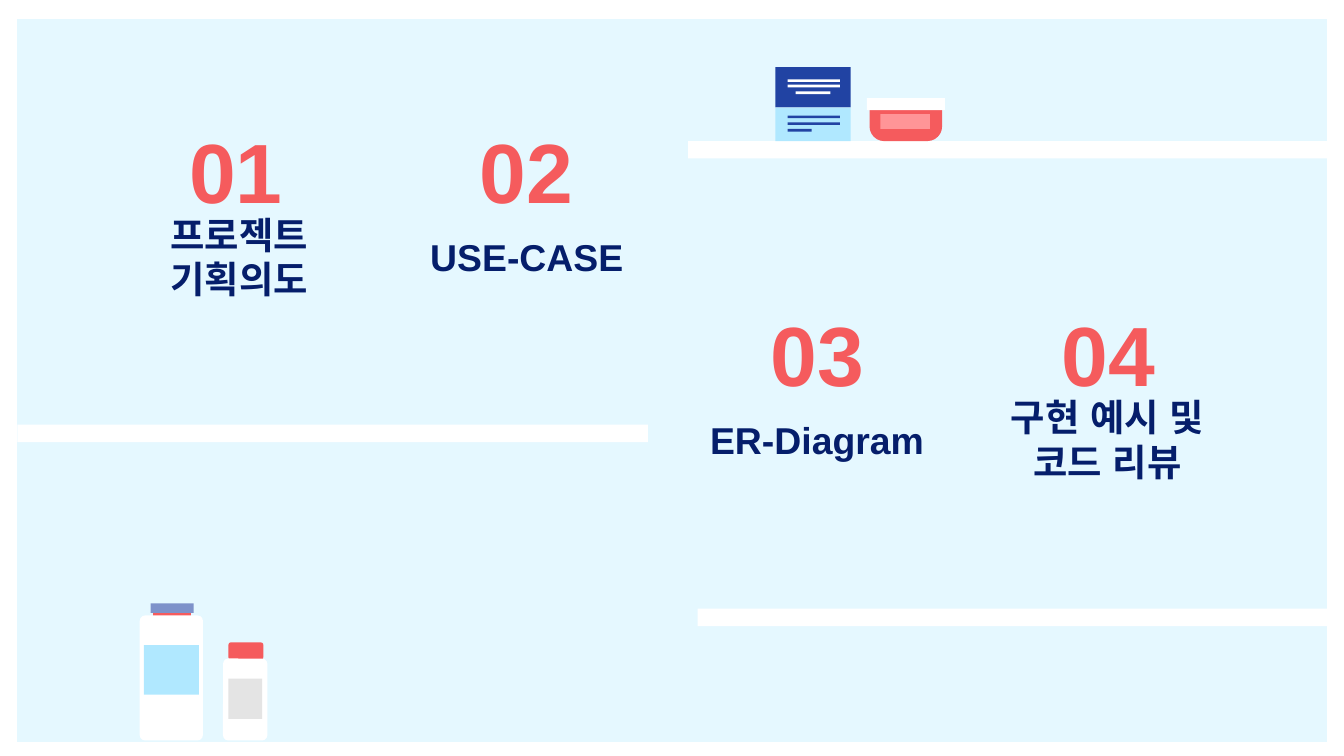
from lxml import etree
from pptx import Presentation
from pptx.dml.color import RGBColor
from pptx.enum.shapes import MSO_SHAPE
from pptx.enum.text import MSO_ANCHOR, PP_ALIGN
from pptx.oxml.ns import qn
from pptx.util import Inches, Pt

RECT = MSO_SHAPE.RECTANGLE
ROUND = MSO_SHAPE.ROUNDED_RECTANGLE
BOWL = MSO_SHAPE.ROUND_2_SAME_RECTANGLE
MIDDLE, CENTER = MSO_ANCHOR.MIDDLE, PP_ALIGN.CENTER

WIDE = 10
HIGH = WIDE * 9 / 16
FACE = "Arial"
WHITE, PALE, SKY = "FFFFFF", "E5F8FF", "B0E8FF"
CORAL, PINK, BLUE = "F55B5D", "FF9597", "2143A3"
NAVY, STEEL, GREY = "051E6B", "7E92CA", "E4E4E4"

# number, label, row top, label left, label width
TOPICS = [
    ("01", "프로젝트\n기획의도", 0.97, 0.52, 2.52),
    ("02", "USE-CASE", 0.97, 2.9, 2.04),
    ("03", "ER-Diagram", 2.33, 5.06, 2.04),
    ("04", "구현 예시 및\n코드 리뷰", 2.33, 7.22, 2.04),
]
FIRST, LAST = 0.98, 7.47
PITCH = (LAST - FIRST) / (len(TOPICS) - 1)
NUM_W, NUM_H, LABEL_H, DROP = 1.55, 0.59, 0.5, 0.69

# left, top, width, height, colour, preset, corner radius
UPPER = [
    (5.12, 1.05, 4.76, 0.13, WHITE, RECT, 0),
    (6.47, 0.77, 0.54, 0.28, CORAL, BOWL, 0.11),
    (6.45, 0.73, 0.58, 0.09, WHITE, RECT, 0),
    (6.55, 0.85, 0.37, 0.11, PINK, RECT, 0),
    (5.77, 0.5, 0.56, 0.3, BLUE, RECT, 0),
    (5.77, 0.8, 0.56, 0.25, SKY, RECT, 0),
]
# left, top, width, colour of the print on the box
PRINT = [
    (5.86, 0.59, 0.39, WHITE), (5.86, 0.63, 0.39, WHITE),
    (5.92, 0.68, 0.26, WHITE), (5.86, 0.86, 0.39, BLUE),
    (5.86, 0.91, 0.39, BLUE), (5.86, 0.96, 0.18, BLUE),
]
THIN = 0.02
LOWER = [
    (0.13, 3.16, 4.69, 0.13, WHITE, RECT, 0),
    (5.19, 4.53, 4.69, 0.13, WHITE, RECT, 0),
    (1.14, 4.53, 0.28, 0.08, CORAL, RECT, 0),
    (1.12, 4.49, 0.32, 0.07, STEEL, RECT, 0),
    (1.04, 4.58, 0.47, 0.93, WHITE, ROUND, 0.04),
    (1.07, 4.8, 0.41, 0.37, SKY, RECT, 0),
    (1.7, 4.78, 0.26, 0.13, CORAL, ROUND, 0.02),
    (1.66, 4.9, 0.33, 0.61, WHITE, ROUND, 0.04),
    (1.7, 5.05, 0.25, 0.3, GREY, RECT, 0),
]


def rgb(code):
    return RGBColor.from_string(code)


def place(x, y, w, h):
    return [Inches(v) for v in (x, y, w, h)]


def block(slide, x, y, w, h, color, kind=RECT, radius=0):
    shape = slide.shapes.add_shape(kind, *place(x, y, w, h))
    shape.shadow.inherit = False
    shape.fill.solid()
    shape.fill.fore_color.rgb = rgb(color)
    shape.line.fill.background()
    if radius:
        corners = shape.adjustments
        share = radius / min(w, h)
        if kind == BOWL:
            corners[0], corners[1] = 0, share
        else:
            corners[0] = share


def write(slide, text, x, y, w, h, size, color):
    frame = slide.shapes.add_textbox(*place(x, y, w, h)).text_frame
    frame.word_wrap = True
    frame.vertical_anchor = MIDDLE
    frame.margin_left = frame.margin_right = Inches(0.1)
    frame.margin_top = frame.margin_bottom = Inches(0.1)
    frame.text = text
    for para in frame.paragraphs:
        para.alignment = CENTER
        for run in para.runs:
            font = run.font
            font.name, font.size, font.bold = FACE, Pt(size), True
            font.color.rgb = rgb(color)
            # Korean text takes its face from a:ea
            props = run._r.get_or_add_rPr()
            etree.SubElement(props, qn("a:ea")).set("typeface", FACE)


def border(slide):
    edge = slide.shapes.add_shape(RECT, *place(0, 0.02, WIDE, HIGH))
    edge.shadow.inherit = False
    edge.fill.background()
    edge.line.color.rgb = rgb(WHITE)
    edge.line.width = Pt(18)


def main():
    deck = Presentation()
    deck.slide_width, deck.slide_height = Inches(WIDE), Inches(HIGH)
    slide = deck.slides.add_slide(deck.slide_layouts[6])
    back = slide.background.fill
    back.solid()
    back.fore_color.rgb = rgb(PALE)

    border(slide)
    for part in UPPER:
        block(slide, *part)
    for x, y, w, color in PRINT:
        block(slide, x, y, w, THIN, color)
    for i, (num, label, top, left, width) in enumerate(TOPICS):
        write(slide, num, FIRST + i * PITCH, top, NUM_W, NUM_H, 45, CORAL)
        write(slide, label, left, top + DROP, width, LABEL_H, 20, NAVY)
    for part in LOWER:
        block(slide, *part)
    deck.save("out.pptx")


if __name__ == "__main__":
    main()
